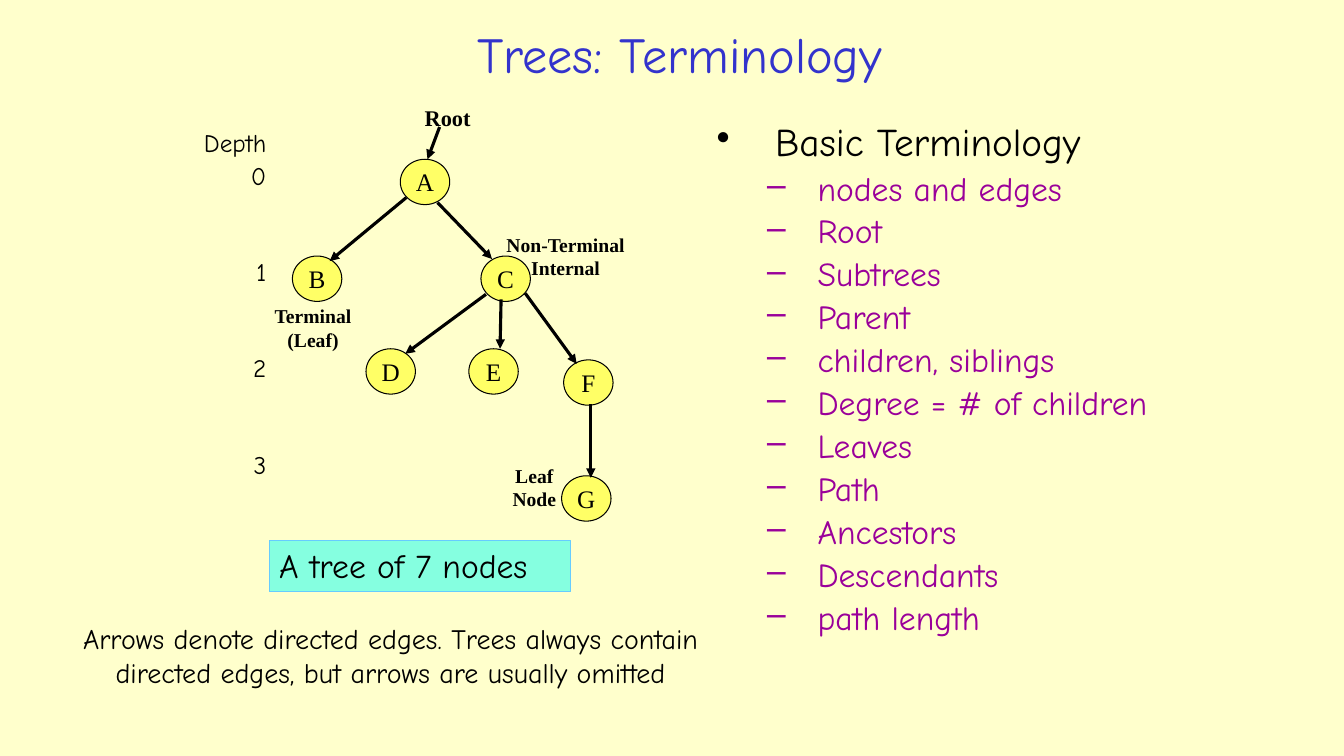
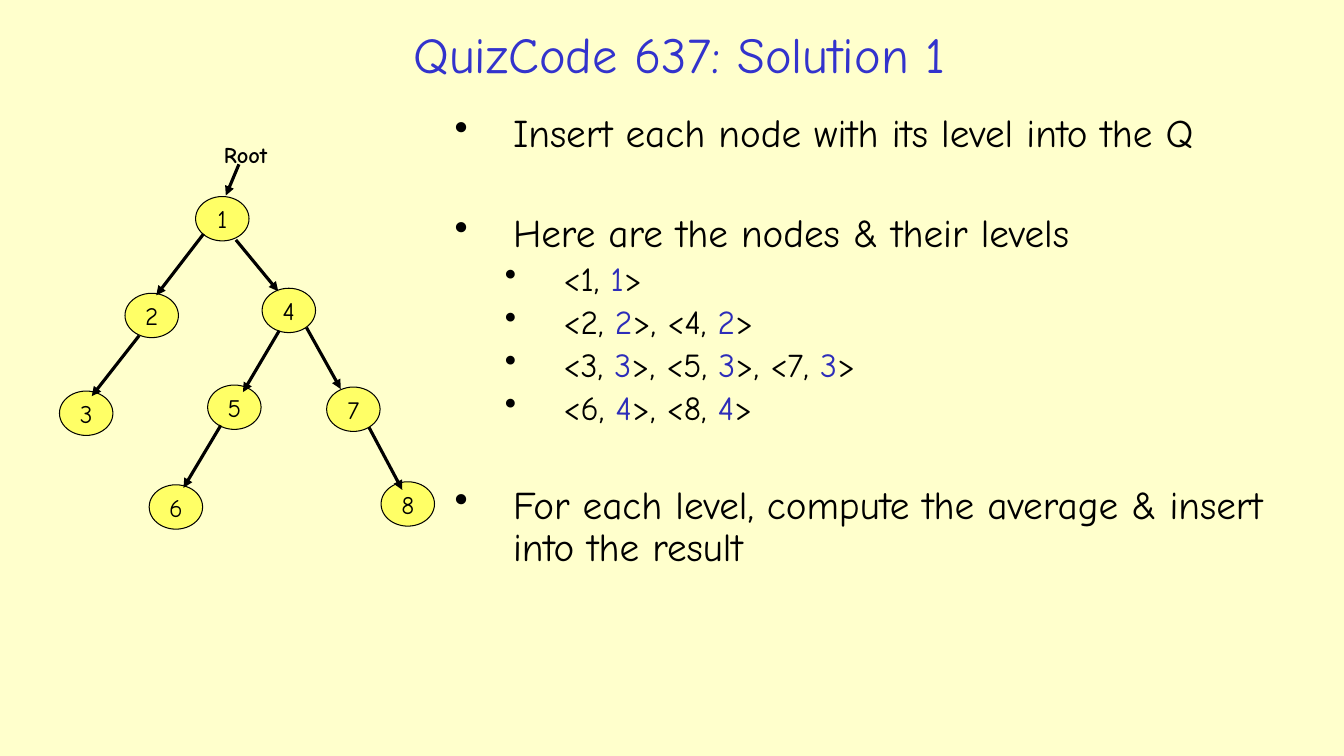
from pptx import Presentation
from pptx.dml.color import RGBColor
from pptx.enum.shapes import MSO_CONNECTOR as Link, MSO_SHAPE as Kind
from pptx.enum.text import MSO_ANCHOR as Anchor, PP_ALIGN as Align
from pptx.oxml.ns import qn
from pptx.oxml.xmlchemy import OxmlElement as Tag
from pptx.util import Pt

SCALE = 9144
COMIC, TIMES = "Comic Neue", "Times New Roman"
COLORS = {
    "back": "FFFFCC", "title": "3333CC", "ink": "000000", "term": "9A009A",
    "level": "2D2DB9", "node": "FFFF66", "note": "85FFE0", "rim": "66CCFF",
}


def px(*nums):
    """Turn px lengths into EMU."""
    return [n * SCALE for n in nums]


def tint(name):
    """Look up a colour by name."""
    return RGBColor.from_string(COLORS[name])


def style(run, size, font=COMIC, color="ink", bold=False):
    """Format one run."""
    run.font.size = Pt(size)
    run.font.name = font
    run.font.bold = bold
    run.font.color.rgb = tint(color)


def write(shape, text, size, font=COMIC, color="ink", bold=False,
          align=Align.CENTER, anchor=Anchor.TOP, wrap=True):
    """Fill a shape with evenly styled text."""
    frame = shape.text_frame
    frame.text = text
    frame.word_wrap = wrap
    frame.vertical_anchor = anchor
    for para in frame.paragraphs:
        para.alignment = align
        for run in para.runs:
            style(run, size, font, color, bold)
    return frame


def label(slide, box, text, size, **opts):
    """Add a text box with text."""
    return write(slide.shapes.add_textbox(*px(*box)), text, size, **opts)


def solid(slide, kind, box, fill, rim):
    """Add a filled shape with a thin outline."""
    shape = slide.shapes.add_shape(kind, *px(*box))
    shape.shadow.inherit = False
    shape.fill.solid()
    shape.fill.fore_color.rgb = tint(fill)
    shape.line.color.rgb = tint(rim)
    shape.line.width = Pt(0.75)
    return shape


def arrow(slide, ends):
    """Draw an arrow between two points."""
    edge = slide.shapes.add_connector(Link.STRAIGHT, *px(*ends))
    edge.line.color.rgb = tint("ink")
    edge.line.width = Pt(2.25)
    props = edge._element.spPr
    head = Tag("a:tailEnd")
    head.set("type", "triangle")
    props.find(qn("a:ln")).append(head)
    props.append(Tag("a:effectLst"))


def tree(slide, box, font, nodes, edges, tags):
    """Draw nodes, edges and labels from the top left of a box."""
    left, top, wide, high = box
    for name, (x, y) in nodes.items():
        spot = (left + x, top + y, wide, high)
        oval = solid(slide, Kind.OVAL, spot, "node", "ink")
        write(oval, name, 18, font, anchor=Anchor.MIDDLE, wrap=False)
    for x1, y1, x2, y2 in edges:
        arrow(slide, (left + x1, top + y1, left + x2, top + y2))
    for text, size, x, y, w, h in tags:
        label(slide, (left + x, top + y, w, h), text, size,
              font=font, bold=True, wrap=False)


def space(para, before):
    """Set tight lines and the gap above a paragraph."""
    para.line_spacing = 0.9
    if before:
        para.space_before = Pt(before)


def outline(slide, box, items, marks, hang):
    """Write a two-level bullet list; an item is level, gap and runs."""
    frame = slide.shapes.add_textbox(*px(*box)).text_frame
    frame.word_wrap = True
    for i, (level, gap, parts) in enumerate(items):
        para = frame.paragraphs[0] if i == 0 else frame.add_paragraph()
        para.level = level
        props = para._p.get_or_add_pPr()
        left, back = hang[level]
        props.set("marL", str(left * SCALE))
        props.set("indent", str(-back * SCALE))
        mark = Tag("a:buChar")
        mark.set("char", marks[level])
        props.append(mark)
        space(para, gap)
        for text, color in parts:
            run = para.add_run()
            run.text = text
            style(run, 24 if level else 28, color=color)


def depths(slide, box):
    """Write the column of depth numbers."""
    frame = label(slide, box, "Depth\n0\n1\n2\n3", 18, align=Align.RIGHT)
    for para, gap in zip(frame.paragraphs, (0, 3.6, 49.4, 49.4, 49.4)):
        space(para, gap)


def start(deck, title):
    """Add a slide with the shared background and title."""
    slide = deck.slides.add_slide(deck.slide_layouts[6])
    slide.background.fill.solid()
    slide.background.fill.fore_color.rgb = tint("back")
    label(slide, (197, 15, 954, 76), title, 36, color="title",
          anchor=Anchor.MIDDLE)
    return slide


def terms(deck):
    """Build the terminology slide."""
    slide = start(deck, "Trees: Terminology")
    words = ("nodes and edges", "Root", "Subtrees", "Parent",
             "children, siblings", "Degree = # of children", "Leaves",
             "Path", "Ancestors", "Descendants", "path length")
    items = [(0, 0, [("Basic Terminology", "ink")])]
    items += [(1, 4.8, [(word, "term")]) for word in words]
    outline(slide, (701, 117, 602, 595), items, "•–", ((58, 58), (100, 50)))
    nodes = {"A": (107, 60), "B": (0, 156), "C": (187, 156), "D": (73, 248),
             "E": (175, 248), "F": (269, 259), "G": (267, 374)}
    edges = ((146, 28, 134, 60), (113, 98, 37, 161), (144, 103, 198, 159),
             (192, 194, 112, 253), (207, 199, 206, 248),
             (231, 193, 282, 263), (296, 303, 296, 376))
    tags = (("Root", 16, 121, 0, 66, 37),
            ("Terminal\n(Leaf)", 14, -28, 199, 97, 57),
            ("Non-Terminal\nInternal", 14, 202, 128, 138, 57),
            ("Leaf\nNode", 14, 208, 357, 64, 57))
    tree(slide, (290, 98, 49, 45), TIMES, nodes, edges, tags)
    depths(slide, (150, 125, 124, 562))
    note = solid(slide, Kind.RECTANGLE, (267, 536, 299, 51), "note", "rim")
    write(note, "A tree of 7 nodes", 24, align=Align.LEFT)
    label(slide, (30, 612, 715, 77),
          "Arrows denote directed edges. Trees always contain "
          "directed edges, but arrows are usually omitted", 20)


def pairs(row):
    """Make the runs for one row of node and level pairs."""
    runs, lead = [], "<"
    for node, level in row:
        runs += [(f"{lead}{node}, ", "ink"), (str(level), "level")]
        lead = ">, <"
    return runs + [(">", "ink")]


def levels(deck):
    """Build the level average slide."""
    slide = start(deck, "QuizCode 637: Solution 1")
    nodes = {"1": (135, 60), "2": (65, 156), "3": (0, 253), "4": (201, 151),
             "5": (147, 247), "6": (89, 346), "7": (265, 249),
             "8": (319, 343)}
    edges = ((178, 28, 165, 59), (143, 97, 96, 158), (175, 103, 217, 154),
             (79, 198, 32, 258), (218, 193, 182, 254), (245, 190, 279, 251),
             (160, 287, 123, 349), (307, 289, 340, 351))
    tree(slide, (59, 135, 53, 44), COMIC, nodes, edges,
         [("Root", 16, 150, 0, 69, 37)])
    rows = ([(1, 1)], [(2, 2), (4, 2)], [(3, 3), (5, 3), (7, 3)],
            [(6, 4), (8, 4)])
    items = [
        (0, 0, [("Insert each node with its level into the Q", "ink")]),
        (0, 41.2, [("Here are the nodes & their levels", "ink")]),
        *[(1, 4.8, pairs(row)) for row in rows],
        (0, 41.2, [("For each level, compute the average & insert "
                    "into the result", "ink")]),
    ]
    outline(slide, (441, 108, 862, 594), items, "••", ((58, 58), (108, 58)))


def main():
    """Build and save the deck."""
    deck = Presentation()
    deck.slide_width, deck.slide_height = px(1333, 750)
    terms(deck)
    levels(deck)
    deck.save("out.pptx")


if __name__ == "__main__":
    main()
